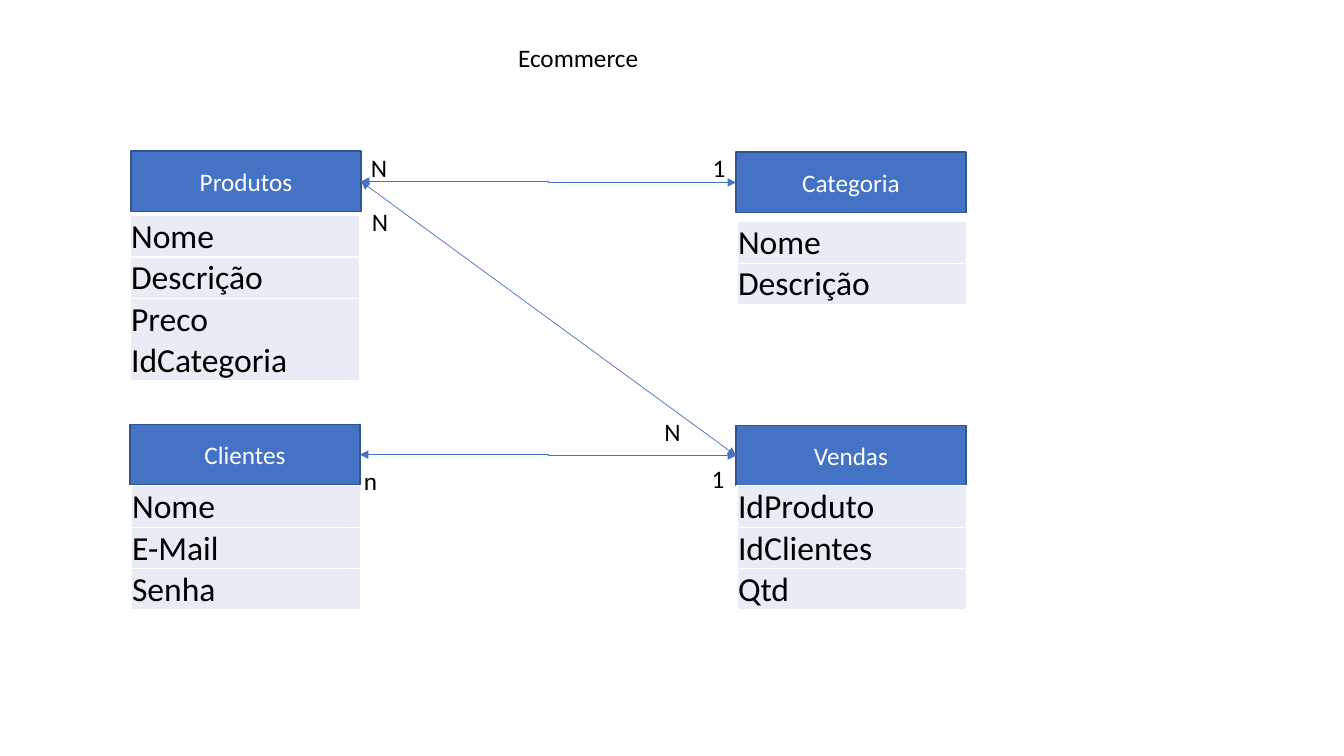
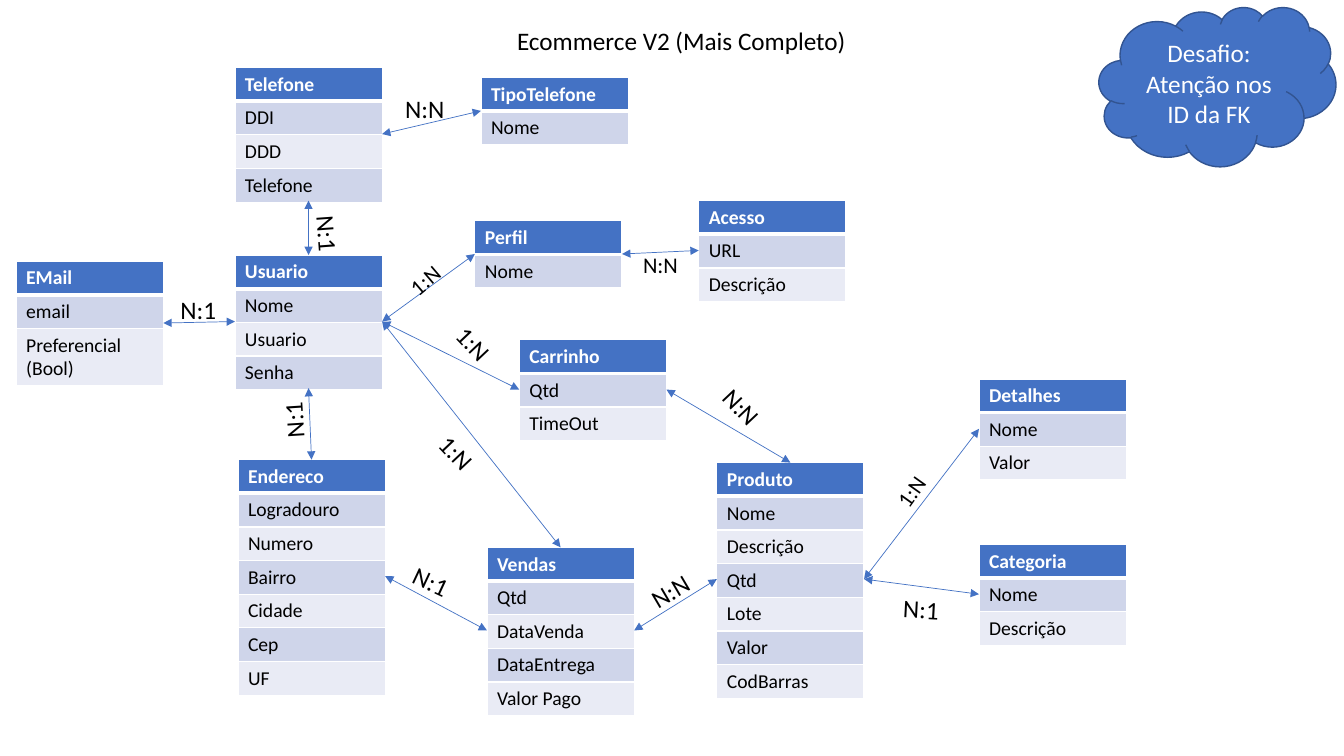
from pptx import Presentation
from pptx.dml.color import RGBColor
from pptx.enum.shapes import MSO_CONNECTOR, MSO_SHAPE
from pptx.enum.text import MSO_ANCHOR, MSO_AUTO_SIZE, PP_ALIGN
from pptx.oxml.ns import qn
from pptx.util import Inches, Pt
from lxml import etree

RECTANGLE, CLOUD = MSO_SHAPE.RECTANGLE, MSO_SHAPE.CLOUD
STRAIGHT, ELBOW = MSO_CONNECTOR.STRAIGHT, MSO_CONNECTOR.ELBOW
TOP, LEFT, BOTTOM, RIGHT = range(4)
MIDDLE, LOWER, UPPER = MSO_ANCHOR.MIDDLE, MSO_ANCHOR.BOTTOM, MSO_ANCHOR.TOP
CENTER, START = PP_ALIGN.CENTER, PP_ALIGN.LEFT
FIT_SHAPE = MSO_AUTO_SIZE.SHAPE_TO_FIT_TEXT

FONT = "Calibri"
BLUE, DARK_BLUE = "4472C4", "325491"
WHITE, BLACK = "FFFFFF", "000000"
BANDS = ("E9EBF5", "CFD5EA")
BOX_WIDTH, BOX_HEIGHT, FIELD_HEIGHT = 2.28, 0.6, 0.41
ENTITY_WIDTH, ROW_HEIGHT, TWO_LINE_HEIGHT = 1.46, 0.33, 0.57

BOXES = {
    "Produtos": (1.3, 1.5),
    "Clientes": (1.29, 4.21),
    "Categoria": (7.3, 1.51),
    "Vendas": (7.3, 4.22),
}
FIELD_LISTS = [
    (1.3, 4.82, ["Nome", "E-Mail", "Senha"]),
    (1.29, 2.14, ["Nome", "Descrição", "Preco\nIdCategoria"]),
    (7.31, 2.2, ["Nome", "Descrição"]),
    (7.31, 4.82, ["IdProduto", "IdClientes", "Qtd"]),
]
BOX_LINKS = [
    ("Produtos", RIGHT, "Categoria", LEFT, ELBOW),
    ("Clientes", RIGHT, "Vendas", LEFT, ELBOW),
    ("Produtos", RIGHT, "Vendas", LEFT, STRAIGHT),
]
BOX_LABELS = [
    ("1", 6.97, 1.46, 0.33),
    ("N", 3.58, 1.46, 0.36),
    ("n", 3.51, 4.57, 0.34),
    ("1", 6.96, 4.55, 0.33),
    ("N", 3.59, 2, 0.36),
    ("N", 6.49, 4.08, 0.36),
]

ENTITIES = {
    "Usuario": (2.33, 2.53, ["Nome", "Usuario", "Senha"]),
    "Perfil": (4.71, 2.19, ["Nome"]),
    "Acesso": (6.93, 1.99, ["URL", "Descrição"]),
    "Produto": (7.11, 4.59, ["Nome", "Descrição", "Qtd", "Lote", "Valor", "CodBarras"]),
    "Categoria": (9.71, 5.4, ["Nome", "Descrição"]),
    "Vendas": (4.83, 5.43, ["Qtd", "DataVenda", "DataEntrega", "Valor Pago"]),
    "Carrinho": (5.15, 3.37, ["Qtd", "TimeOut"]),
    "Endereco": (2.36, 4.56, ["Logradouro", "Numero", "Bairro", "Cidade", "Cep", "UF"]),
    "Telefone": (2.33, 0.67, ["DDI", "DDD", "Telefone"]),
    "TipoTelefone": (4.77, 0.77, ["Nome"]),
    "EMail": (0.16, 2.59, ["email", "Preferencial (Bool)"]),
    "Detalhes": (9.71, 3.76, ["Nome", "Valor"]),
}
ENTITY_LINKS = [
    ("Perfil", LEFT, "Usuario", RIGHT),
    ("Perfil", RIGHT, "Acesso", LEFT),
    ("Produto", RIGHT, "Categoria", LEFT),
    ("Carrinho", RIGHT, "Produto", TOP),
    ("Usuario", RIGHT, "Carrinho", LEFT),
    ("Usuario", BOTTOM, "Endereco", TOP),
    ("Endereco", RIGHT, "Vendas", LEFT),
    ("Telefone", RIGHT, "TipoTelefone", LEFT),
    ("Usuario", TOP, "Telefone", BOTTOM),
    ("EMail", RIGHT, "Usuario", LEFT),
    ("Usuario", RIGHT, "Vendas", TOP),
    ("Vendas", RIGHT, "Produto", LEFT),
    ("Produto", RIGHT, "Detalhes", LEFT),
]
SMALL_LABELS = [
    ("N:N", 6.28, 2.44, 0.57, 0),
    ("1:N", 3.94, 2.55, 0.65, 319.4),
    ("1:N", 8.75, 4.64, 0.65, 305.4),
]
LARGE_LABELS = [
    ("N:1", 1.69, 2.87, 0.56, 0),
    ("N:N", 3.92, 0.88, 0.6, 0),
    ("N:1", 2.97, 2.12, 0.56, 85.8),
    ("N:1", 2.63, 3.96, 0.56, 266.3),
    ("N:1", 4, 5.57, 0.56, 25),
    ("N:N", 6.35, 5.66, 0.6, 329.5),
    ("N:1", 8.86, 5.84, 0.56, 3.1),
    ("1:N", 4.25, 4.29, 0.56, 46.7),
    ("1:N", 4.42, 3.21, 0.56, 46.7),
    ("N:N", 7.06, 3.84, 0.6, 46.7),
]


def color(value):
    """Return the colour for a hex string."""
    return RGBColor.from_string(value)


def write_text(frame, text, *, size=18, ink=BLACK, bold=False, align=START):
    """Write text into a frame, one paragraph per line."""
    frame.text = text
    for paragraph in frame.paragraphs:
        paragraph.alignment = align
        font = paragraph.runs[0].font
        font.name, font.size, font.bold = FONT, Pt(size), bold
        font.color.rgb = color(ink)


def add_label(slide, text, left, top, width, rotation=0, *, size=18, wrap=False):
    """Add a text box that fits its text."""
    height = 0.37 if size < 18 else 0.4
    shape = slide.shapes.add_textbox(Inches(left), Inches(top), Inches(width), Inches(height))
    shape.rotation = rotation
    shape.text_frame.word_wrap = wrap
    shape.text_frame.auto_size = FIT_SHAPE
    write_text(shape.text_frame, text, size=size)


def add_box(slide, kind, text, left, top, width, height):
    """Add a blue shape with centred white text."""
    shape = slide.shapes.add_shape(kind, Inches(left), Inches(top), Inches(width), Inches(height))
    shape.shadow.inherit = False
    shape.fill.solid()
    shape.fill.fore_color.rgb = color(BLUE)
    shape.line.color.rgb = color(DARK_BLUE)
    shape.line.width = Pt(1)
    shape.text_frame.vertical_anchor = MIDDLE
    shape.text_frame.word_wrap = True
    write_text(shape.text_frame, text, ink=WHITE, align=CENTER)
    return shape


def add_link(slide, start, start_side, end, end_side, kind=STRAIGHT):
    """Connect two shapes with a double-headed arrow."""
    connector = slide.shapes.add_connector(kind, 0, 0, 0, 0)
    connector.begin_connect(start, start_side)
    connector.end_connect(end, end_side)
    connector.line.color.rgb = color(BLUE)
    connector.line.width = Pt(0.5)
    line = connector.line._get_or_add_ln()
    for tag in ("a:headEnd", "a:tailEnd"):
        etree.SubElement(line, qn(tag), type="triangle")
    etree.SubElement(connector._element.spPr, qn("a:effectLst"))


def style_cell(cell, fill, bottom_width=1):
    """Give a cell white borders and a solid fill."""
    properties = cell._tc.get_or_add_tcPr()
    widths = {"a:lnL": 1, "a:lnR": 1, "a:lnT": 1, "a:lnB": bottom_width}
    for tag, width in widths.items():
        border = etree.SubElement(properties, qn(tag), w=str(Pt(width)))
        solid = etree.SubElement(border, qn("a:solidFill"))
        etree.SubElement(solid, qn("a:srgbClr"), val=WHITE)
    cell.fill.solid()
    cell.fill.fore_color.rgb = color(fill)


def add_column(slide, left, top, width, heights):
    """Add a one-column table with the given row heights."""
    frame = slide.shapes.add_table(
        len(heights), 1, Inches(left), Inches(top), Inches(width), Inches(sum(heights)))
    table = frame.table
    table.first_row = table.horz_banding = False
    for row, height in zip(table.rows, heights):
        row.height = Inches(height)
    return frame


def add_field_list(slide, left, top, fields):
    """Add the list of fields under a box."""
    heights = [FIELD_HEIGHT * len(field.split("\n")) for field in fields]
    table = add_column(slide, left, top, BOX_WIDTH, heights).table
    for index, field in enumerate(fields):
        cell = table.cell(index, 0)
        cell.margin_left = cell.margin_right = cell.margin_top = Inches(0.01)
        cell.margin_bottom = 0
        cell.vertical_anchor = LOWER
        style_cell(cell, BANDS[0])
        write_text(cell.text_frame, field, size=24)


def add_entity(slide, name, left, top, fields):
    """Add an entity table with a header and banded fields."""
    rows = [name, *fields]
    heights = [TWO_LINE_HEIGHT if len(row) > 15 else ROW_HEIGHT for row in rows]
    frame = add_column(slide, left, top, ENTITY_WIDTH, heights)
    for index, text in enumerate(rows):
        header = index == 0
        cell = frame.table.cell(index, 0)
        cell.vertical_anchor = UPPER
        style_cell(cell, BLUE if header else BANDS[index % 2], 3 if header else 1)
        write_text(cell.text_frame, text, size=14, ink=WHITE if header else BLACK, bold=header)
    return frame


def add_slide(presentation, title, left, top, width):
    """Add a blank slide with its title."""
    slide = presentation.slides.add_slide(presentation.slide_layouts[6])
    add_label(slide, title, left, top, width)
    return slide


def build_simple_model(presentation):
    """Build the slide with the simple model."""
    slide = add_slide(presentation, "Ecommerce", 5.04, 0.37, 1.41)
    boxes = {name: add_box(slide, RECTANGLE, name, *place, BOX_WIDTH, BOX_HEIGHT)
             for name, place in BOXES.items()}
    for start, start_side, end, end_side, kind in BOX_LINKS:
        add_link(slide, boxes[start], start_side, boxes[end], end_side, kind)
    for label in BOX_LABELS:
        add_label(slide, *label)
    for field_list in FIELD_LISTS:
        add_field_list(slide, *field_list)


def build_complete_model(presentation):
    """Build the slide with the complete model."""
    slide = add_slide(presentation, "Ecommerce V2 (Mais Completo)", 5.03, 0.2, 3.5)
    entities = {name: add_entity(slide, name, *details) for name, details in ENTITIES.items()}
    add_box(slide, CLOUD, "Desafio: Atenção nos ID da FK", 10.9, 0.07, 2.35, 1.58)
    for start, start_side, end, end_side in ENTITY_LINKS:
        add_link(slide, entities[start], start_side, entities[end], end_side)
    for label in SMALL_LABELS:
        add_label(slide, *label, size=16, wrap=True)
    for label in LARGE_LABELS:
        add_label(slide, *label)


def main():
    """Build and save the presentation."""
    presentation = Presentation()
    presentation.slide_width, presentation.slide_height = Inches(13.33), Inches(7.5)
    build_simple_model(presentation)
    build_complete_model(presentation)
    presentation.save("out.pptx")


if __name__ == "__main__":
    main()
